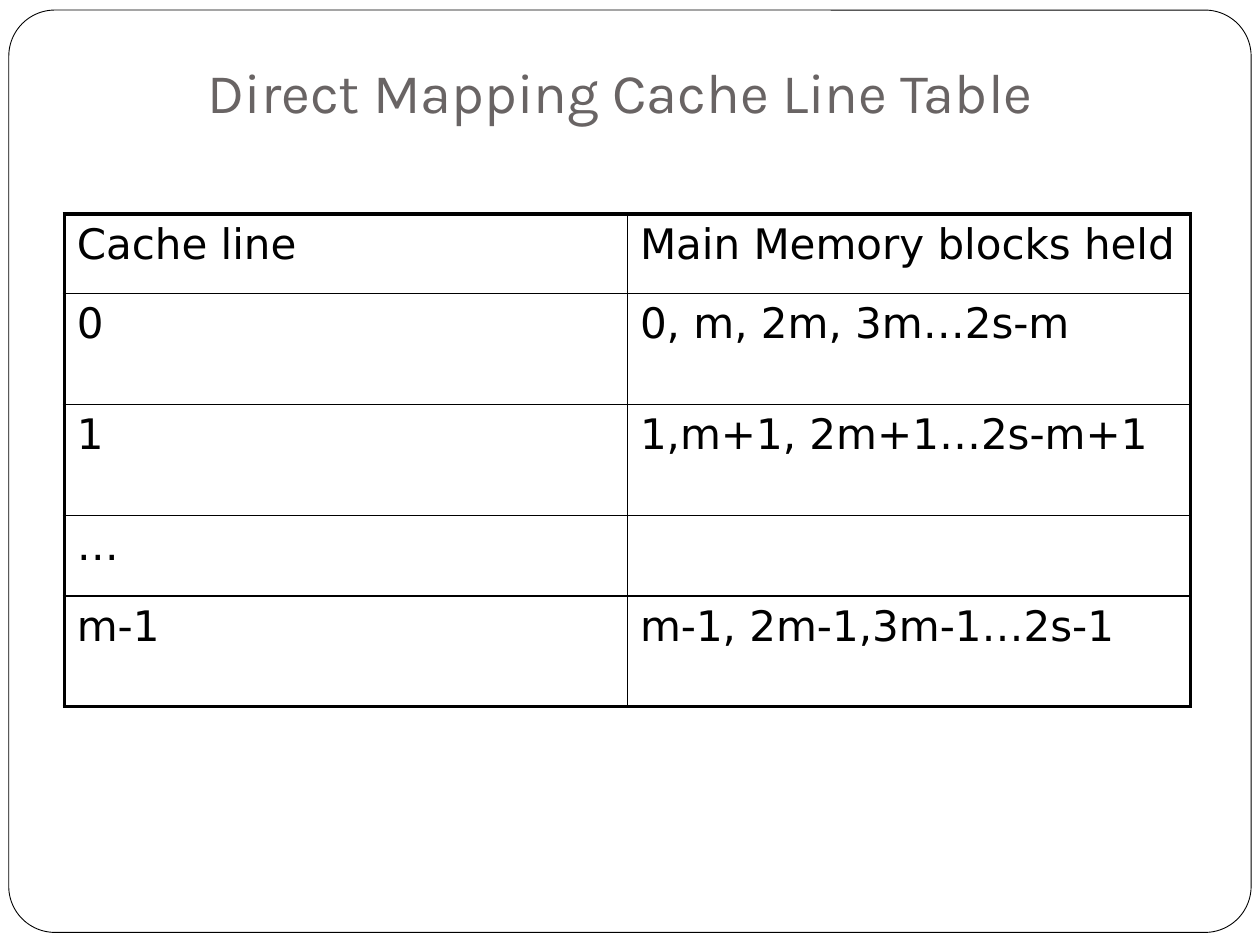
"""Build the slide with the direct mapping cache line table."""
from dataclasses import dataclass

from lxml.etree import SubElement
from pptx import Presentation
from pptx.dml.color import RGBColor as RGB
from pptx.enum.shapes import MSO_SHAPE as SHAPE
from pptx.enum.text import MSO_ANCHOR as ANCHOR, PP_ALIGN as ALIGN
from pptx.oxml.ns import qn
from pptx.util import Inches, Pt

TITLE = "Direct Mapping Cache Line Table"
CACHE_ROWS = [
    ("Cache line", "Main Memory blocks held"),
    ("0", "0, m, 2m, 3m…2s-m"),
    ("1", "1,m+1, 2m+1…2s-m+1"),
    ("…", ""),
    ("m-1", "m-1, 2m-1,3m-1…2s-1"),
]
ROW_HEIGHTS = [0.63, 0.88, 0.88, 0.64, 0.88]
COLUMN_WIDTH = 4.47


@dataclass(frozen=True)
class Theme:
    title_font: str = "Karla"
    body_font: str = "DejaVu Sans"
    title_size: float = 32
    body_size: float = 24
    frame_line: float = 0.5
    inner_line: float = 1
    outer_line: float = 2.25
    title_color: str = "696464"
    ink: str = "000000"
    paper: str = "FFFFFF"


THEME = Theme()


def style_text(paragraph, font_name, size, color):
    for run in paragraph.runs:
        run.font.name = font_name
        run.font.size = Pt(size)
        run.font.color.rgb = RGB.from_string(color)


def add_frame(slide):
    frame = slide.shapes.add_shape(
        SHAPE.ROUNDED_RECTANGLE, Inches(0.07), Inches(0.08), Inches(9.86), Inches(7.32))
    frame.adjustments[0] = 0.05
    frame.shadow.inherit = False
    frame.fill.solid()
    frame.fill.fore_color.rgb = RGB.from_string(THEME.paper)
    frame.line.color.rgb = RGB.from_string(THEME.ink)
    frame.line.width = Pt(THEME.frame_line)
    slide.shapes._spTree.insert(2, frame._element)


def set_title(slide):
    title = slide.shapes.title
    title.left, title.top = Inches(0.44), Inches(0.17)
    title.width, title.height = Inches(8.97), Inches(0.92)
    heading = title.text_frame
    heading.text = TITLE
    heading.vertical_anchor = ANCHOR.BOTTOM
    heading.margin_bottom = Inches(0.1)
    heading.paragraphs[0].alignment = ALIGN.CENTER
    style_text(heading.paragraphs[0], THEME.title_font, THEME.title_size, THEME.title_color)


def set_borders(cell, outer_sides):
    properties = cell._tc.get_or_add_tcPr()
    for side, is_outer in outer_sides.items():
        width = THEME.outer_line if is_outer else THEME.inner_line
        border = SubElement(properties, qn(f"a:ln{side}"), w=str(Pt(width)))
        fill = SubElement(border, qn("a:solidFill"))
        SubElement(fill, qn("a:srgbClr"), val=THEME.ink)


def add_cache_table(slide):
    row_count, column_count = len(CACHE_ROWS), len(CACHE_ROWS[0])
    table = slide.shapes.add_table(
        row_count, column_count, Inches(0.51), Inches(1.7),
        Inches(COLUMN_WIDTH * column_count), Inches(sum(ROW_HEIGHTS))).table
    table.first_row = table.horz_banding = False
    for column in table.columns:
        column.width = Inches(COLUMN_WIDTH)
    for r, (entries, height) in enumerate(zip(CACHE_ROWS, ROW_HEIGHTS)):
        table.rows[r].height = Inches(height)
        for c, entry in enumerate(entries):
            cell = table.cell(r, c)
            cell.text_frame.text = entry
            style_text(cell.text_frame.paragraphs[0],
                       THEME.body_font, THEME.body_size, THEME.ink)
            set_borders(cell, {"L": c == 0, "R": c == column_count - 1,
                               "T": r == 0, "B": r == row_count - 1})
            cell.fill.background()


def main():
    deck = Presentation()
    deck.slide_width, deck.slide_height = Inches(10), Inches(7.5)
    slide = deck.slides.add_slide(deck.slide_layouts.get_by_name("Title Only"))
    add_frame(slide)
    set_title(slide)
    add_cache_table(slide)
    deck.save("out.pptx")


if __name__ == "__main__":
    main()
